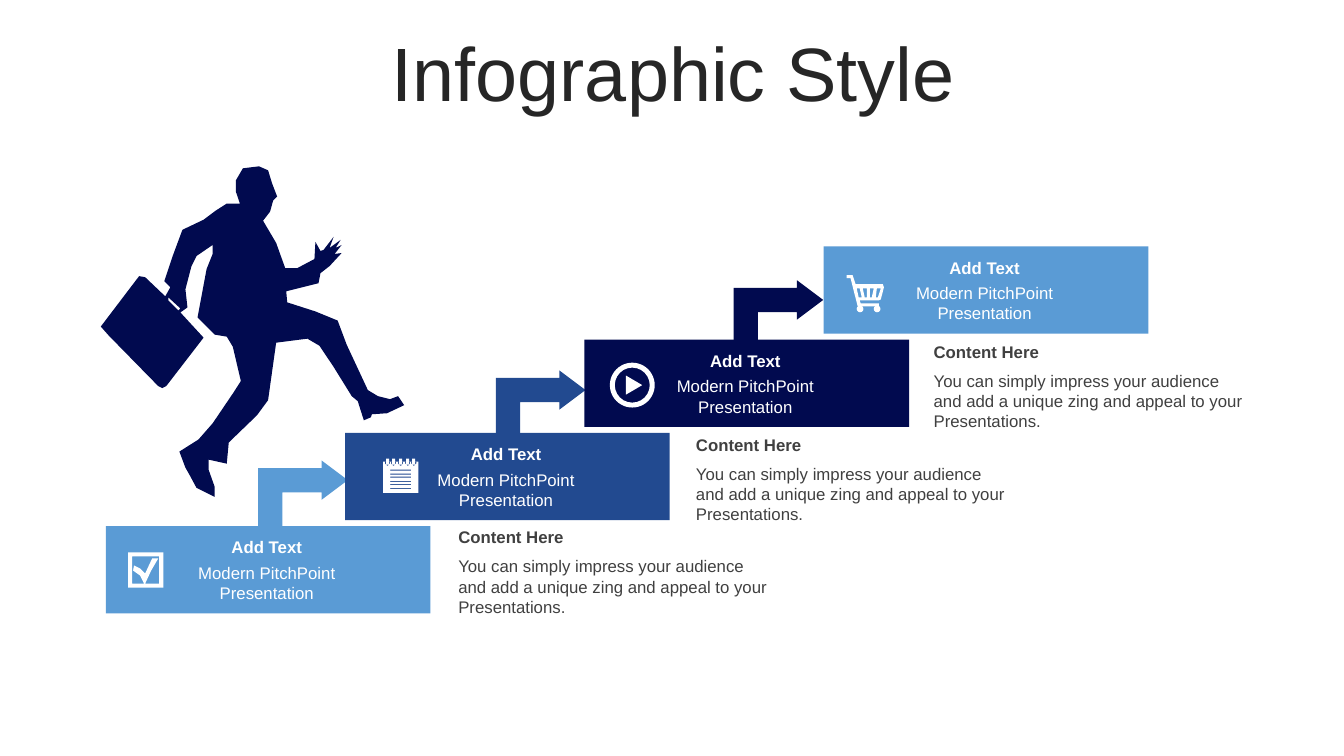
from pptx import Presentation
from pptx.dml.color import RGBColor as RGB
from pptx.enum.shapes import MSO_SHAPE as SHAPE
from pptx.enum.text import MSO_ANCHOR as ANCHOR, MSO_AUTO_SIZE as AUTO, PP_ALIGN as ALIGN
from pptx.util import Cm, Pt


class Theme:
    font = "Arial"
    title_size, text_size = Pt(54), Pt(12)
    title, text, white = RGB(0x26, 0x26, 0x26), RGB(0x40, 0x40, 0x40), RGB(255, 255, 255)
    sky, blue, navy = RGB(0x5A, 0x9B, 0xD5), RGB(0x22, 0x4A, 0x90), RGB(0x01, 0x0A, 0x4F)


prs = Presentation()
prs.slide_width, prs.slide_height = Cm(33.87), Cm(19.05)
s = prs.slides.add_slide(prs.slide_layouts[5])


def paint(sp, color):
    sp.shadow.inherit = False
    sp.fill.solid()
    sp.fill.fore_color.rgb = color
    sp.line.fill.background()


def write(sp, text, size, color, bold=False, align=ALIGN.LEFT, anchor=ANCHOR.TOP):
    tf = sp.text_frame
    tf.text = text
    tf.word_wrap = True
    tf.auto_size = AUTO.NONE
    tf.vertical_anchor = anchor
    p = tf.paragraphs[0]
    p.alignment = align
    font = p.runs[0].font
    font.name, font.size, font.bold = Theme.font, size, bold
    font.color.rgb = color


# Title
title = s.shapes.title
title.left, title.top, title.width, title.height = Cm(0.89), Cm(0.94), Cm(32.16), Cm(2.01)
write(title, "Infographic Style", Theme.title_size, Theme.title,
      align=ALIGN.CENTER, anchor=ANCHOR.MIDDLE)
title.text_frame.paragraphs[0].line_spacing = 0.9

# Staircase: each step has a box, then an arrow and a note, except the last
step_colors = [Theme.sky, Theme.blue, Theme.navy, Theme.sky]
for i, color in enumerate(step_colors):
    box = s.shapes.add_shape(SHAPE.RECTANGLE, Cm(2.67 + 6.03 * i), Cm(13.26 - 2.35 * i),
                             Cm(8.18), Cm(2.2))
    paint(box, color)

    for text, top, height, bold in [("Add Text", 13.41, 0.76, True),
                                    ("Modern PitchPoint Presentation", 14.05, 1.27, False)]:
        label = s.shapes.add_textbox(Cm(4.53 + 6.03 * i), Cm(top - 2.35 * i), Cm(4.39), Cm(height))
        write(label, text, Theme.text_size, Theme.white, bold, ALIGN.CENTER, ANCHOR.MIDDLE)

    if i == len(step_colors) - 1:
        break

    arrow = s.shapes.add_shape(SHAPE.BENT_UP_ARROW, Cm(6.81 + 5.99 * i), Cm(11.3 - 2.27 * i),
                               Cm(1.65), Cm(2.26))
    paint(arrow, color)
    for k, value in enumerate([0.37, 0.3, 0.4]):
        arrow.adjustments[k] = value
    arrow.rotation = 270
    arrow._element.spPr.get_or_add_xfrm().set("flipV", "1")

    for text, top, height, bold in [
            ("Content Here", 13.16, 0.76, True),
            ("You can simply impress your audience and add a unique zing and appeal "
             "to your Presentations.", 13.89, 1.8, False)]:
        note = s.shapes.add_textbox(Cm(11.3 + 5.99 * i), Cm(top - 2.34 * i), Cm(8.5), Cm(height))
        write(note, text, Theme.text_size, Theme.text, bold)

# Play icon
ring = s.shapes.add_shape(SHAPE.DONUT, Cm(15.37), Cm(9.14), Cm(1.13), Cm(1.13))
paint(ring, Theme.white)
ring.adjustments[0] = 0.11
triangle = s.shapes.add_shape(SHAPE.ISOSCELES_TRIANGLE, Cm(15.74), Cm(9.5), Cm(0.48), Cm(0.41))
paint(triangle, Theme.white)
triangle.rotation = 90

# Cart wheels
for left in [21.59, 22.02]:
    wheel = s.shapes.add_shape(SHAPE.OVAL, Cm(left), Cm(7.7), Cm(0.17), Cm(0.17))
    paint(wheel, Theme.white)

# Outlines, in hundredths of an inch; inner contours cut holes
checkbox = [
    [(127, 548), (162, 548), (162, 583), (127, 583)],
    [(131, 552), (131, 579), (143, 579), (139, 571), (132, 566), (133, 561), (139, 564),
     (144, 569), (151, 554), (157, 554), (150, 566), (144, 579), (158, 579), (158, 552)],
]

notepad = [[(380, 458), (415, 458), (415, 489), (380, 489)]]
for i in range(6):
    y = round(466 + 3.6 * i)
    notepad.append([(387, y), (408, y), (408, y + 1), (387, y + 1)])
for i in range(5):
    x = round(382 + 6.5 * i)
    notepad.append([(x, 458), (x, 460), (x + 2, 462), (x + 3, 462), (x + 5, 460), (x + 5, 458)])
    notepad.append([(x + 1, 455), (x + 4, 455), (x + 4, 461), (x + 1, 461)])

cart = [[(846, 273), (849, 282), (876, 282), (877, 285), (874, 297), (872, 298), (853, 298),
         (854, 301), (872, 301), (872, 304), (851, 304), (844, 276), (840, 276), (840, 273)]]
for left, low_left, low_right, right in [(850, 852, 855, 853), (856, 858, 860, 860),
                                         (863, 863, 865, 867), (870, 869, 871, 874)]:
    cart.append([(left, 286), (low_left, 295), (low_right, 295), (right, 286)])

runner = [[
    # briefcase and back arm
    (100, 324), (108, 333), (157, 383), (161, 385), (165, 383), (202, 335), (179, 310),
    (186, 305), (184, 287), (190, 264), (195, 254), (211, 243), (211, 252), (205, 267),
    # back leg
    (196, 315), (213, 332), (225, 334), (231, 344), (239, 378), (232, 389), (211, 420),
    (197, 436), (178, 448), (184, 464), (188, 471), (195, 484), (213, 493), (213, 483),
    (207, 466), (207, 456), (225, 460), (227, 439), (255, 412), (266, 397), (274, 340),
    # front leg
    (305, 336), (317, 343), (331, 364), (349, 393), (355, 398), (361, 417), (368, 414),
    (369, 411), (384, 410), (401, 402), (395, 393), (387, 396), (375, 393), (365, 387),
    (344, 342), (335, 318), (313, 309), (285, 300), (284, 289), (316, 281), (318, 271),
    # hand and front arm
    (327, 264), (339, 251), (332, 252), (339, 243), (333, 246), (338, 238), (327, 246),
    (331, 235), (321, 248), (318, 249), (313, 240), (312, 257), (295, 266), (283, 266),
    (274, 241), (261, 219),
    # head and shoulder
    (268, 210), (271, 199), (275, 195), (270, 182), (266, 169), (257, 165), (241, 167),
    (234, 179), (234, 190), (238, 202), (225, 202), (214, 209), (202, 218), (181, 228),
    (171, 255), (163, 279), (169, 285), (164, 294), (144, 275), (138, 274),
], [(167, 295), (179, 306), (177, 308), (167, 298)]]

for contours, color in [(notepad, Theme.white), (checkbox, Theme.white),
                        (cart, Theme.white), (runner, Theme.navy)]:
    outline = s.shapes.build_freeform(*contours[0][0], scale=Cm(0.0254))
    for k, points in enumerate(contours):
        if k:
            outline.move_to(*points[0])
        outline.add_line_segments(points[1:], close=True)
    paint(outline.convert_to_shape(), color)

prs.save("out.pptx")
